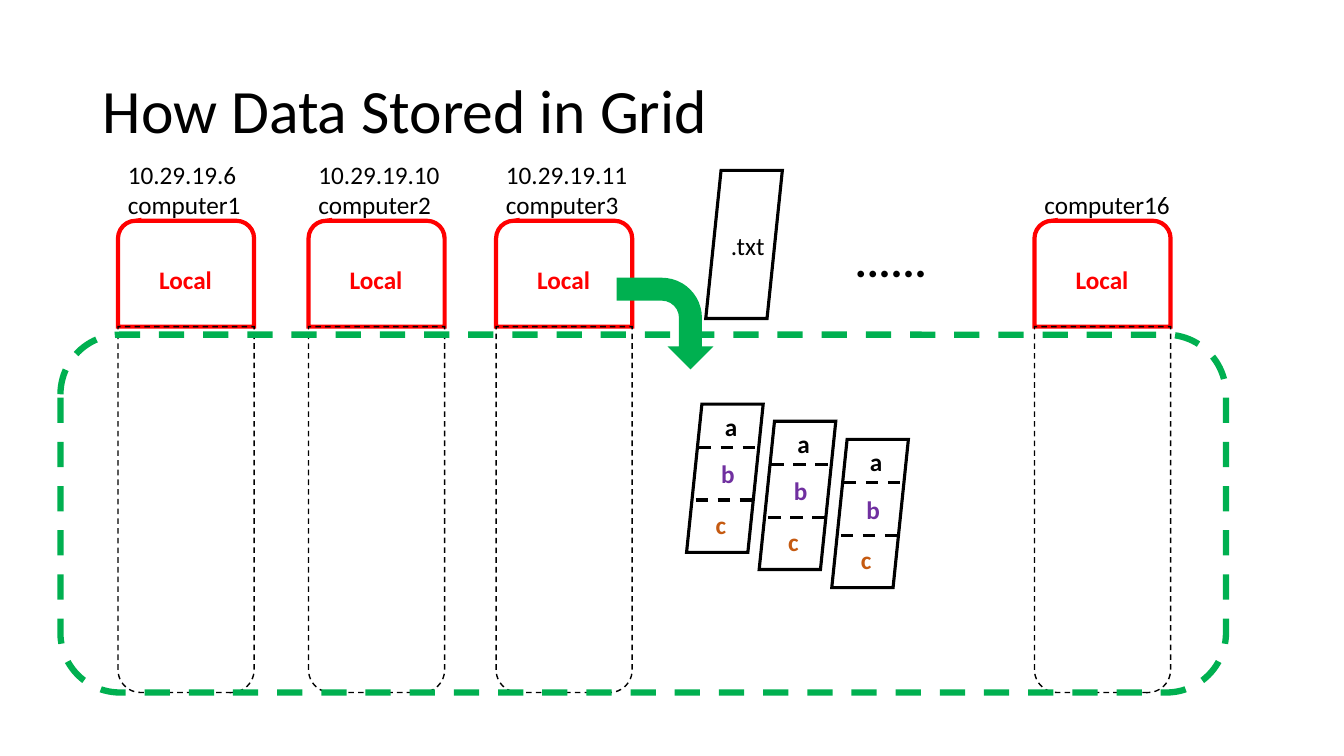
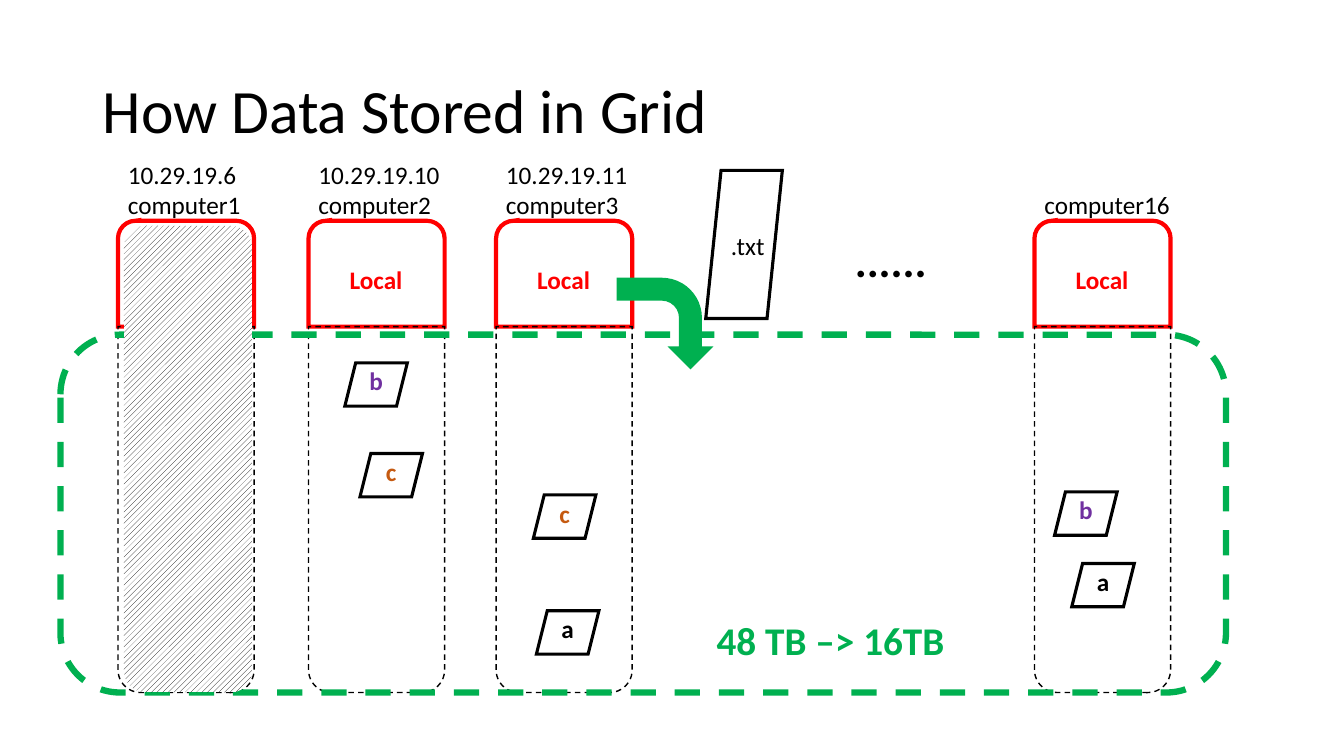
"""Build two slides showing how a storage grid keeps file blocks across computers."""
from dataclasses import dataclass

from lxml import etree
from pptx import Presentation
from pptx.dml.color import RGBColor
from pptx.enum.dml import MSO_LINE, MSO_PATTERN
from pptx.enum.shapes import MSO_CONNECTOR, MSO_SHAPE
from pptx.enum.text import MSO_ANCHOR, PP_ALIGN
from pptx.oxml.ns import qn
from pptx.util import Inches, Pt

DASH, HATCH = MSO_LINE.DASH, MSO_PATTERN.WIDE_UPWARD_DIAGONAL
STRAIGHT = MSO_CONNECTOR.STRAIGHT
ROUND_TOP, ROUNDED = MSO_SHAPE.ROUND_2_SAME_RECTANGLE, MSO_SHAPE.ROUNDED_RECTANGLE
FILE, BLOCK, BENT_ARROW = MSO_SHAPE.FLOWCHART_DATA, MSO_SHAPE.PARALLELOGRAM, MSO_SHAPE.BENT_ARROW
LEFT, CENTER = PP_ALIGN.LEFT, PP_ALIGN.CENTER
TOP, MIDDLE, BOTTOM = MSO_ANCHOR.TOP, MSO_ANCHOR.MIDDLE, MSO_ANCHOR.BOTTOM


@dataclass(frozen=True)
class Theme:
    font: str = "Calibri"
    black: RGBColor = RGBColor(0x00, 0x00, 0x00)
    white: RGBColor = RGBColor(0xFF, 0xFF, 0xFF)
    red: RGBColor = RGBColor(0xFF, 0x00, 0x00)
    green: RGBColor = RGBColor(0x00, 0xB0, 0x50)
    purple: RGBColor = RGBColor(0x70, 0x30, 0xA0)
    orange: RGBColor = RGBColor(0xC5, 0x5A, 0x11)
    title: int = 44
    dots: int = 32
    capacity: int = 28
    body: int = 18
    thin: float = 1
    outline: float = 2.25
    local: float = 3
    frame: float = 4.5


T = Theme()
BLOCK_COLORS = {"a": T.black, "b": T.purple, "c": T.orange}
COMPUTERS = [
    (1.17, ["10.29.19.6", "computer1"]),
    (3.06, ["10.29.19.10", "computer2"]),
    (4.92, ["10.29.19.11", "computer3"]),
    (10.26, ["computer16"]),
]
FILES = [(6.81, 4.01), (7.53, 4.18), (8.25, 4.36)]
FILE_SPLITS = [(0.12, 0.43), (0.09, 0.95)]
FILE_LETTERS = [("a", 0.27, 0.02), ("b", 0.24, 0.49), ("c", 0.17, 0.99)]
STORED_BLOCKS = [
    ("b", 3.42, 3.6), ("c", 3.57, 4.5),
    ("c", 5.29, 4.91), ("a", 5.32, 6.06),
    ("b", 10.46, 4.88), ("a", 10.63, 5.59),
]


def add_text(s, x, y, w, h, lines, size=T.body, color=T.black, bold=False,
             align=LEFT, anchor=TOP):
    tf = s.shapes.add_textbox(Inches(x), Inches(y), Inches(w), Inches(h)).text_frame
    tf.word_wrap = True
    tf.vertical_anchor = anchor
    for i, line in enumerate(lines):
        p = tf.paragraphs[0] if i == 0 else tf.add_paragraph()
        p.alignment = align
        r = p.add_run()
        r.text = line
        r.font.name, r.font.size, r.font.bold = T.font, Pt(size), bold
        r.font.color.rgb = color
    return tf


def add_outline(s, kind, x, y, w, h, color=None, width=T.outline, dash=None):
    sp = s.shapes.add_shape(kind, Inches(x), Inches(y), Inches(w), Inches(h))
    sp.shadow.inherit = False
    sp.fill.background()
    if color is None:
        sp.line.fill.background()
    else:
        sp.line.color.rgb = color
        sp.line.width = Pt(width)
        sp.line.dash_style = dash
        etree.SubElement(sp._element.spPr.find(qn("a:ln")), qn("a:miter"), lim="800000")
    return sp


prs = Presentation()
prs.slide_width, prs.slide_height = Inches(13.33), Inches(7.5)
slides = [prs.slides.add_slide(prs.slide_layouts[6]) for _ in range(2)]
storing, failed = slides

for s in slides:
    tf = add_text(s, 0.92, 0.4, 11.5, 1.45, ["How Data Stored in Grid"], T.title, anchor=MIDDLE)
    tf.paragraphs[0].line_spacing = 0.9

    for i, (x, label) in enumerate(COMPUTERS):
        add_outline(s, ROUND_TOP, x, 2.19, 1.35, 1.05, T.red, T.local)
        disk = add_outline(s, ROUND_TOP, x, 3.24, 1.35, 3.63, T.black, T.thin, DASH)
        disk.rotation = 180
        add_text(s, x, 1.52, 1.6, 0.71, label, anchor=BOTTOM)
        if s is storing or i > 0:
            add_text(s, x + 0.22, 2.57, 0.9, 0.4, ["Local"], color=T.red, bold=True, align=CENTER)

    add_text(s, 8.38, 2.26, 1.2, 0.64, ["......"], T.dots, bold=True)
    add_outline(s, ROUNDED, 0.6, 3.32, 11.56, 3.55, T.green, T.frame, DASH)
    arrow = add_outline(s, BENT_ARROW, 6.14, 2.73, 0.91, 0.96)
    arrow.rotation = 90
    arrow.fill.solid()
    arrow.fill.fore_color.rgb = T.green
    add_outline(s, FILE, 7, 1.69, 0.76, 1.47, T.black)
    add_text(s, 7.15, 2.24, 0.61, 0.4, [".txt"])

for x, y in FILES:
    add_outline(storing, FILE, x, y, 0.76, 1.47, T.black)
    for dx, dy in FILE_SPLITS:
        split = storing.shapes.add_connector(
            STRAIGHT, Inches(x + dx), Inches(y + dy), Inches(x + dx + 0.59), Inches(y + dy))
        split.line.color.rgb = T.black
        split.line.width = Pt(T.outline)
        split.line.dash_style = DASH
        etree.SubElement(split._element.spPr, qn("a:effectLst"))
    for letter, dx, dy in FILE_LETTERS:
        add_text(storing, x + dx, y + dy, 0.34, 0.4, [letter],
                 color=BLOCK_COLORS[letter], bold=True, align=CENTER)

for letter, x, y in STORED_BLOCKS:
    add_outline(failed, BLOCK, x, y, 0.62, 0.43, T.black)
    add_text(failed, x + 0.14, y - 0.02, 0.34, 0.4, [letter],
             color=BLOCK_COLORS[letter], bold=True, align=CENTER)

hatch = add_outline(failed, ROUNDED, 1.23, 2.24, 1.27, 4.63)
hatch.fill.patterned()
hatch.fill.pattern = HATCH
hatch.fill.fore_color.rgb = T.black
hatch.fill.back_color.rgb = T.white
add_text(failed, 7.01, 6.07, 2.76, 0.57, ["48 TB –> 16TB"], T.capacity, T.green, bold=True)

prs.save("out.pptx")
